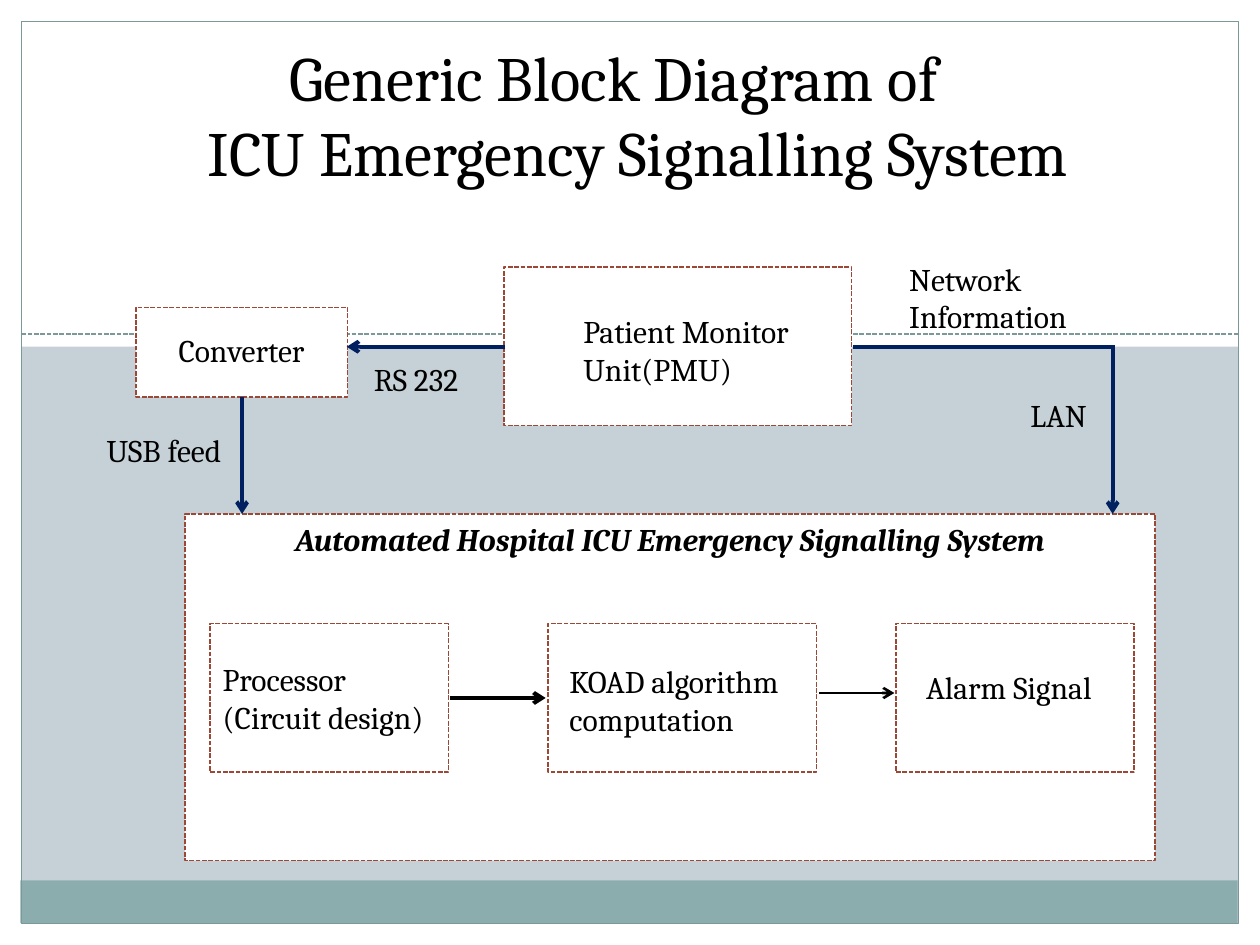
import pptx
import pptx.util
import pptx.dml.color
import pptx.enum.dml
import pptx.enum.shapes
import pptx.enum.text
import pptx.oxml.ns
import lxml.etree

Cm, Pt = pptx.util.Cm, pptx.util.Pt
rgb = pptx.dml.color.RGBColor.from_string
qn = pptx.oxml.ns.qn
DASH = pptx.enum.dml.MSO_LINE.SQUARE_DOT
WHITE, TEAL, RUST, NAVY, BLACK = "FFFFFF", "7C999A", "9B4936", "002060", "000000"

prs = pptx.Presentation()
prs.slide_width, prs.slide_height = Cm(25.4), Cm(19.05)
s = prs.slides.add_slide(prs.slide_layouts[5])
s.background.fill.solid()
s.background.fill.fore_color.rgb = rgb("C5D1D7")
runs = []  # (run, size), formatted together at the end


def add_rect(x, y, w, h, fill=None, line=None, width=0.9, dash=None):
    sp = s.shapes.add_shape(pptx.enum.shapes.MSO_SHAPE.RECTANGLE, Cm(x), Cm(y), Cm(w), Cm(h))
    sp.shadow.inherit = False
    if fill:
        sp.fill.solid()
        sp.fill.fore_color.rgb = rgb(fill)
    else:
        sp.fill.background()
    if line:
        sp.line.color.rgb = rgb(line)
        sp.line.width = Pt(width)
        sp.line.dash_style = dash
    else:
        sp.line.fill.background()
    return sp


def add_line(x1, y1, x2, y2, color, width, arrow=True, dash=None):
    c = s.shapes.add_connector(pptx.enum.shapes.MSO_CONNECTOR.STRAIGHT, Cm(x1), Cm(y1), Cm(x2), Cm(y2))
    c.line.color.rgb = rgb(color)
    c.line.width = Pt(width)
    c.line.dash_style = dash
    if arrow:
        lxml.etree.SubElement(c.line._get_or_add_ln(), qn("a:tailEnd"), type="arrow")
    lxml.etree.SubElement(c._element.spPr, qn("a:effectLst"))


# Frame: white margins and upper band, footer bar, dashed rule, border
for x, y, w, h in [(0, 18.62, 25.4, 0.43), (24.97, 0, 0.43, 19.05),
                   (0, 0, 0.43, 19.05), (0, 0, 25.4, 6.99)]:
    add_rect(x, y, w, h, WHITE)
add_rect(0.41, 17.75, 24.54, 0.86, "8CADAE")
add_line(0.43, 6.73, 24.97, 6.73, TEAL, 0.9, arrow=False, dash=DASH)
add_rect(0.43, 0.43, 24.54, 18.19, line=TEAL, width=0.75)

# Signalling system box with its heading
sp = add_rect(3.73, 10.36, 19.56, 6.99, WHITE, RUST, dash=DASH)
tf = sp.text_frame
tf.vertical_anchor = pptx.enum.text.MSO_ANCHOR.TOP
p = tf.paragraphs[0]
p.alignment = pptx.enum.text.PP_ALIGN.CENTER
r = p.add_run()
r.text = "Automated Hospital ICU Emergency Signalling System"
r.font.bold = r.font.italic = True
runs.append((r, 18))

# Blocks: monitor, converter, then the three stages
for x, y, w, h in [(10.16, 5.38, 7.01, 3.2), (2.74, 6.2, 4.27, 1.8),
                   (4.24, 12.57, 4.8, 3), (11.05, 12.57, 5.41, 3), (18.06, 12.57, 4.8, 3)]:
    add_rect(x, y, w, h, WHITE, RUST, dash=DASH)

# Connections
add_line(9.07, 14.07, 11, 14.07, BLACK, 2.25)
add_line(16.51, 13.97, 18.03, 13.97, BLACK, 1.5)
add_line(17.2, 6.99, 22.43, 6.99, NAVY, 2.25, arrow=False)
add_line(22.43, 6.96, 22.43, 10.36, NAVY, 2.25)
add_line(10.19, 6.99, 6.99, 6.99, NAVY, 2.25)
add_line(4.88, 8, 4.88, 10.36, NAVY, 2.25)

# Labels: left, top, width, height, lines
labels = [
    (11.23, 13.23, 6.15, 1.8, ["KOAD algorithm computation"]),
    (18.42, 13.34, 6.15, 1.02, ["Alarm Signal"]),
    (4.24, 13.18, 6.15, 1.8, ["Processor", "(Circuit design)"]),
    (11.51, 6.17, 5.46, 1.8, ["Patient Monitor Unit(PMU)"]),
    (3.35, 6.55, 3.81, 1.02, ["Converter"]),
    (20.52, 7.85, 2.21, 1.02, ["LAN"]),
    (18.08, 5.11, 5.61, 1.8, ["Network Information"]),
    (7.29, 7.14, 2.69, 1.02, ["RS 232"]),
    (1.9, 8.56, 3.12, 1.02, ["USB feed"]),
]
for x, y, w, h, lines in labels:
    tf = s.shapes.add_textbox(Cm(x), Cm(y), Cm(w), Cm(h)).text_frame
    tf.word_wrap = True
    p = tf.paragraphs[0]
    for i, text in enumerate(lines):
        if i:
            p.add_line_break()
        r = p.add_run()
        r.text = text
        runs.append((r, 18))

# Title, brought in front of the white band
title = s.shapes.title
s.shapes._spTree.append(title._element)
title.left, title.top, title.width, title.height = Cm(3.66), Cm(0.64), Cm(21.74), Cm(3.33)
tf = title.text_frame
tf.auto_size = pptx.enum.text.MSO_AUTO_SIZE.NONE
tf.vertical_anchor = pptx.enum.text.MSO_ANCHOR.TOP
for i, (text, indent) in enumerate([("Generic Block Diagram of", 1.92),
                                    ("ICU Emergency Signalling System", 0.27)]):
    p = tf.add_paragraph() if i else tf.paragraphs[0]
    p.alignment = pptx.enum.text.PP_ALIGN.LEFT
    p.space_before = Pt(0)
    p._p.get_or_add_pPr().set("marL", str(Cm(indent)))
    r = p.add_run()
    r.text = text
    runs.append((r, 36))

# One font for all text
for r, size in runs:
    r.font.name = "Cambria"
    r.font.size = Pt(size)
    r.font.color.rgb = rgb(BLACK)

prs.save("out.pptx")
